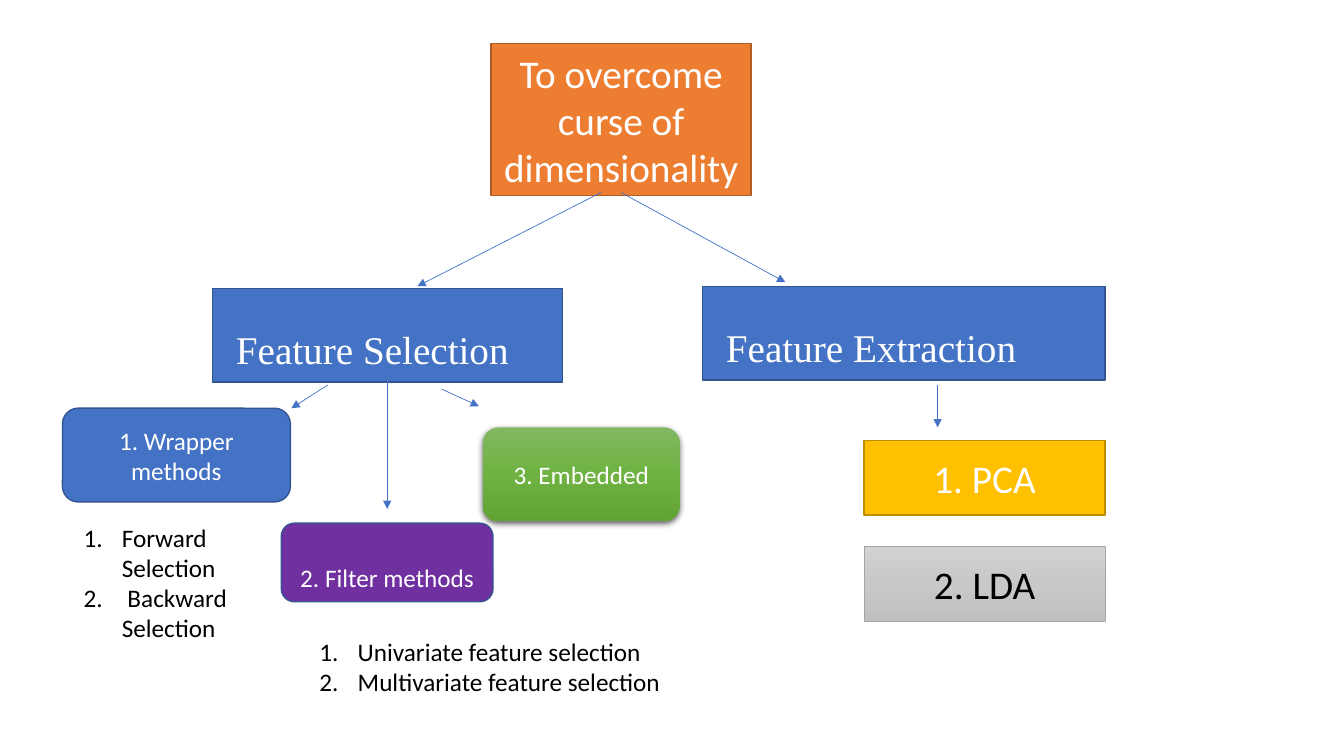
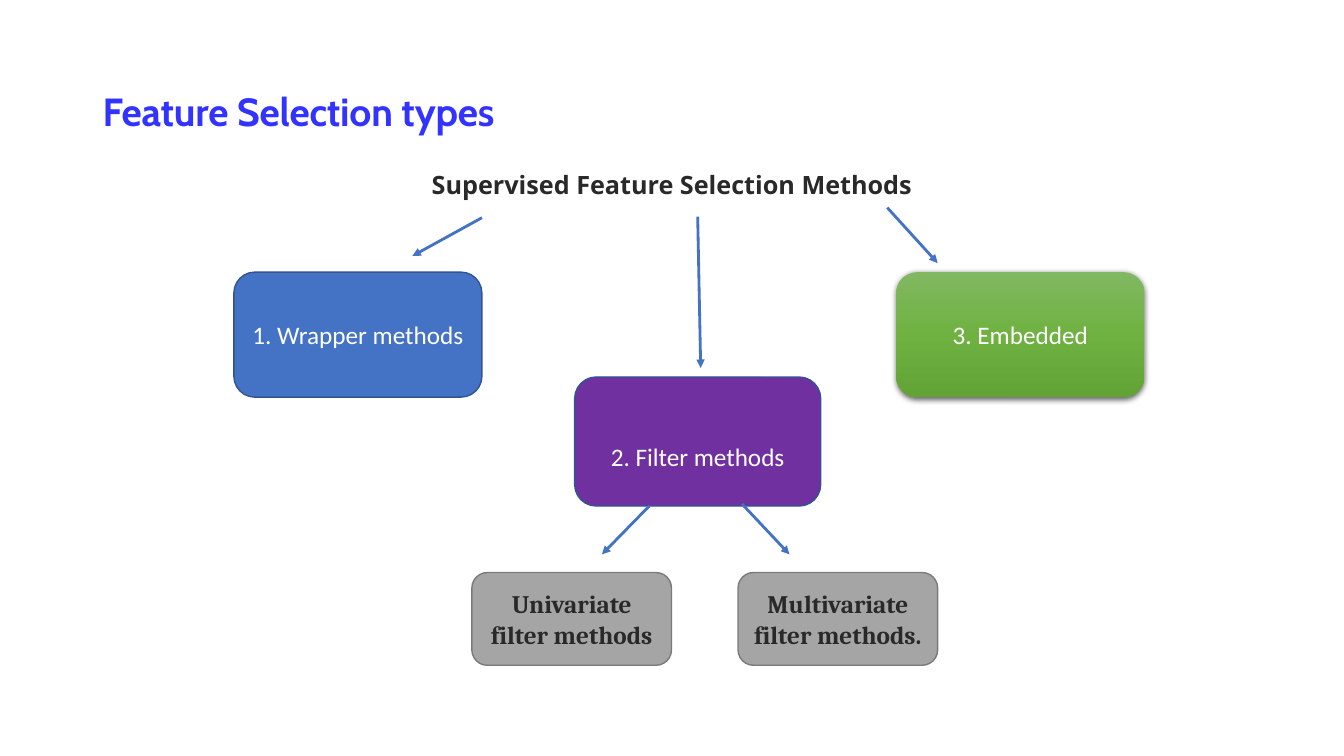
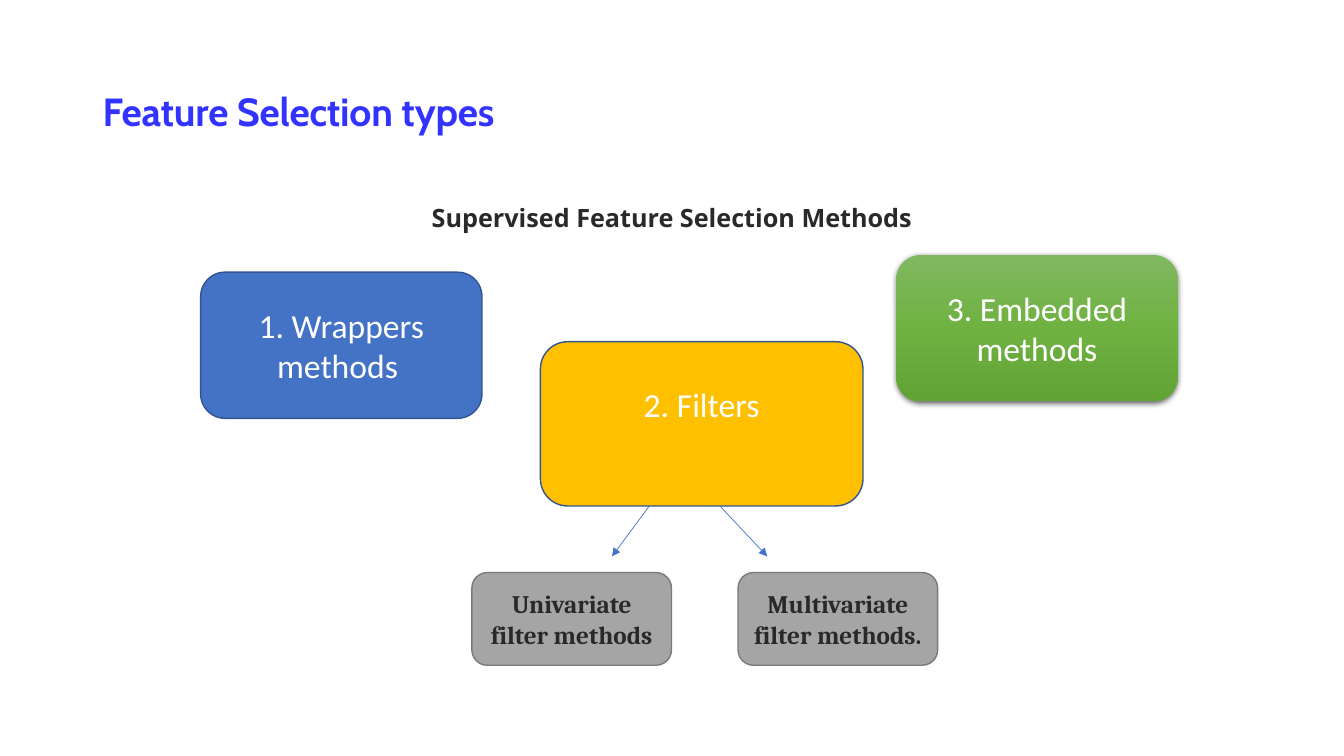
from copy import deepcopy
from dataclasses import dataclass
from typing import NamedTuple

from lxml.etree import SubElement
from pptx import Presentation
from pptx.dml.color import RGBColor as RGB
from pptx.enum.shapes import MSO_CONNECTOR as Link, MSO_SHAPE as Form
from pptx.enum.text import MSO_ANCHOR as Anchor, PP_ALIGN as Align
from pptx.oxml.ns import qn
from pptx.util import Inches, Pt


class Box(NamedTuple):
    x: float
    y: float
    w: float
    h: float

    def sub(self, dx, dy, w, h):
        """Box offset from this one's top left corner."""
        return Box(self.x + dx, self.y + dy, w, h)

    def place(self):
        return [Inches(n) for n in self]


@dataclass(frozen=True)
class Type:
    font: str
    size: int
    color: str = "FFFFFF"
    bold: bool = False
    track: int = 0


@dataclass(frozen=True)
class Look:
    fill: tuple
    edge: str = ""
    width: float = 1
    glow: bool = False


@dataclass(frozen=True)
class Theme:
    arrow: str = "4472C4"
    thin: float = 0.5
    thick: float = 2
    blue: Look = Look(("4472C4",), "325491")
    purple: Look = Look(("7030A0",), "325491")
    amber: Look = Look(("FFC000",), "325491")
    gold: Look = Look(("FFC000",), "BD8E00")
    orange: Look = Look(("ED7D31",), "AF5C24")
    gray: Look = Look(("A5A5A5",), "7A7A7A")
    silver: Look = Look(("D2D2D2", "C8C8C8", "C0C0C0"), "A5A5A5", 0.5)
    green: Look = Look(("81B861", "6FB242", "62A336"), glow=True)
    title: Type = Type("Cabin", 28, "3333FF", True, -10)
    sub: Type = Type("Open Sans", 18, "292929", True)
    big: Type = Type("Calibri", 28)
    dark: Type = Type("Calibri", 28, "000000")
    mid: Type = Type("Calibri", 24)
    small: Type = Type("Calibri", 18)
    body: Type = Type("Calibri", 18, "000000")
    branch: Type = Type("Times New Roman", 28)
    leaf: Type = Type("Cambria", 18, "292929", True)


T = Theme()
SLIDE = Box(0, 0, 13.33, 7.5)


def write(para, text, kind):
    run = para.add_run()
    run.text = text
    font = run.font
    font.name, font.size, font.bold = kind.font, Pt(kind.size), kind.bold
    font.color.rgb = RGB.from_string(kind.color)
    if kind.track:
        run._r.get_or_add_rPr().set("spc", str(kind.track))


def paint(shape, look):
    """Apply fill, edge and shadow."""
    fill, props = shape.fill, shape._element.spPr
    if len(look.fill) == 1:
        fill.solid()
        fill.fore_color.rgb = RGB.from_string(look.fill[0])
    else:
        fill.gradient()
        fill.gradient_angle = 270
        stops = props.find(".//" + qn("a:gsLst"))
        stops.append(deepcopy(stops[0]))
        last = len(look.fill) - 1
        for i, (stop, tint) in enumerate(zip(fill.gradient_stops, look.fill)):
            stop.position = i / last
            stop.color.rgb = RGB.from_string(tint)
    if look.edge:
        shape.line.color.rgb = RGB.from_string(look.edge)
        shape.line.width = Pt(look.width)
    else:
        shape.line.fill.background()
    shape.shadow.inherit = False
    if look.glow:
        glow = SubElement(props.find(qn("a:effectLst")), qn("a:outerShdw"),
                          blurRad=str(Pt(4.5)), dist=str(Pt(1.5)),
                          dir="5400000", algn="ctr", rotWithShape="0")
        tint = SubElement(glow, qn("a:srgbClr"), val="000000")
        SubElement(tint, qn("a:alpha"), val="63000")


def node(slide, box, text, look, kind, form=Form.ROUNDED_RECTANGLE,
         align=Align.CENTER, left=0.1, top=0.05, bottom=0.05, space=None):
    """Filled shape with one line of text; the insets shift the text."""
    shape = slide.shapes.add_shape(form, *box.place())
    paint(shape, look)
    frame = shape.text_frame
    frame.word_wrap, frame.vertical_anchor = True, Anchor.MIDDLE
    frame.margin_left, frame.margin_top = Inches(left), Inches(top)
    frame.margin_bottom = Inches(bottom)
    para = frame.paragraphs[0]
    para.alignment, para.line_spacing = align, space
    write(para, text, kind)


def label(slide, box, kind, *lines, align=Align.LEFT, anchor=Anchor.TOP,
          space=None, number=False):
    frame = slide.shapes.add_textbox(*box.place()).text_frame
    frame.word_wrap, frame.vertical_anchor = True, anchor
    for i, text in enumerate(lines):
        para = frame.add_paragraph() if i else frame.paragraphs[0]
        para.alignment, para.line_spacing = align, space
        if number:
            props = para._p.get_or_add_pPr()
            props.set("marL", str(Inches(0.38)))
            props.set("indent", str(Inches(-0.38)))
            SubElement(props, qn("a:buAutoNum"), type="arabicPeriod")
        write(para, text, kind)


def arrows(slide, box, width, *ends):
    """Arrows as x1, y1, x2, y2, measured from the corner of the box."""
    for x1, y1, x2, y2 in ends:
        line = slide.shapes.add_connector(
            Link.STRAIGHT, Inches(box.x + x1), Inches(box.y + y1),
            Inches(box.x + x2), Inches(box.y + y2))
        line.line.color.rgb = RGB.from_string(T.arrow)
        line.line.width = Pt(width)
        props = line._element.spPr
        SubElement(props.find(qn("a:ln")), qn("a:tailEnd"), type="triangle")
        SubElement(props, qn("a:effectLst"))


def branch(slide, box, text):
    node(slide, box, text, T.blue, T.branch, Form.RECTANGLE, Align.LEFT,
         left=0.23, top=0.09, space=1.5)


def root(slide, box):
    node(slide, box, "To overcome curse of dimensionality", T.orange, T.big,
         Form.RECTANGLE)
    arrows(slide, box, T.thin, (1.09, 1.48, -0.73, 2.41),
           (1.29, 1.48, 2.92, 2.37))


def selection(slide, box):
    branch(slide, box.sub(1.49, 0, 3.47, 0.93), "Feature Selection")
    node(slide, box.sub(0, 1.19, 2.26, 0.93), "1. Wrapper methods",
         T.blue, T.small)
    node(slide, box.sub(2.17, 2.33, 2.1, 0.78), "2. Filter methods",
         T.purple, T.small, top=0.35)
    node(slide, box.sub(4.17, 1.38, 1.95, 0.93), "3. Embedded",
         T.green, T.small)
    arrows(slide, box, T.thin, (2.63, 0.96, 2.27, 1.19),
           (3.22, 0.89, 3.22, 2.19), (3.76, 1, 4.13, 1.17))
    label(slide, box.sub(0.11, 2.27, 2.39, 1.31), T.body,
          "Forward Selection", " Backward Selection", number=True)
    label(slide, box.sub(2.45, 3.4, 3.84, 0.71), T.body,
          "Univariate feature selection", "Multivariate feature selection",
          number=True)


def extraction(slide, box):
    branch(slide, box.sub(0, 0, box.w, 0.93), "Feature Extraction")
    arrows(slide, box, T.thin, (2.33, 0.98, 2.33, 1.4))
    wide = 2.39
    items = (("1. PCA", T.gold, T.big), ("2. LDA", T.silver, T.dark))
    for i, (text, look, kind) in enumerate(items):
        node(slide, box.sub(box.w - wide, 1.53 + i * 1.05, wide, 0.74),
             text, look, kind, Form.RECTANGLE)


def heading(slide, box, drop):
    """Title, with the subtitle that far below its top."""
    label(slide, box, T.title, "Feature Selection types",
          anchor=Anchor.MIDDLE, space=0.9)
    label(slide, box.sub(2.41, drop, 6.67, 0.4), T.sub,
          "Supervised Feature Selection Methods", align=Align.CENTER)


def leaves(slide, box):
    wide = 1.98
    texts = ("Univariate filter methods", "Multivariate filter methods.")
    for i, text in enumerate(texts):
        node(slide, box.sub(i * (box.w - wide), 0, wide, box.h), text,
             T.gray, T.leaf)


def types(slide, drop):
    heading(slide, SLIDE.sub(0.92, 0.4, 11.5, 1.45), drop)
    leaves(slide, SLIDE.sub(4.68, 5.68, 4.62, 0.92))


def methods(slide, box):
    node(slide, box.sub(0, 0, 2.46, 1.24), "1. Wrapper methods",
         T.blue, T.small)
    node(slide, box.sub(3.38, 1.04, 2.44, 1.28), "2. Filter methods",
         T.purple, T.small, top=0.35)
    node(slide, box.sub(box.w - 2.46, 0, 2.46, 1.24), "3. Embedded",
         T.green, T.small)
    arrows(slide, box, T.thick, (5.04, 2.3, 5.51, 2.8),
           (4.12, 2.32, 3.65, 2.8), (2.46, -0.54, 1.77, -0.16),
           (4.6, -0.55, 4.63, 0.95), (6.48, -0.64, 6.98, -0.09))


def groups(slide, box):
    node(slide, box.sub(0, 0.17, 2.79, 1.45), "1. Wrappers methods ",
         T.blue, T.mid)
    node(slide, box.sub(3.37, 0.86, 3.2, 1.63), "2. Filters",
         T.amber, T.mid, bottom=0.45)
    node(slide, box.sub(box.w - 2.79, 0, 2.79, 1.45), "3. Embedded methods",
         T.green, T.mid)
    arrows(slide, box, T.thin, (5.15, 2.49, 5.62, 2.99),
           (4.45, 2.49, 4.08, 2.99))


def main():
    deck = Presentation()
    deck.slide_width, deck.slide_height = Inches(SLIDE.w), Inches(SLIDE.h)
    tree, kinds, sums = (deck.slides.add_slide(deck.slide_layouts[6])
                         for _ in range(3))
    root(tree, SLIDE.sub(4.87, 0.43, 2.58, 1.51))
    selection(tree, SLIDE.sub(0.62, 2.86, 6.29, 4.11))
    extraction(tree, SLIDE.sub(6.97, 2.84, 3.99, 3.32))
    types(kinds, 1.23)
    methods(kinds, SLIDE.sub(2.32, 2.7, 9.03, 2.8))
    types(sums, 1.56)
    groups(sums, SLIDE.sub(1.99, 2.53, 9.69, 2.99))
    deck.save("out.pptx")


if __name__ == "__main__":
    main()
